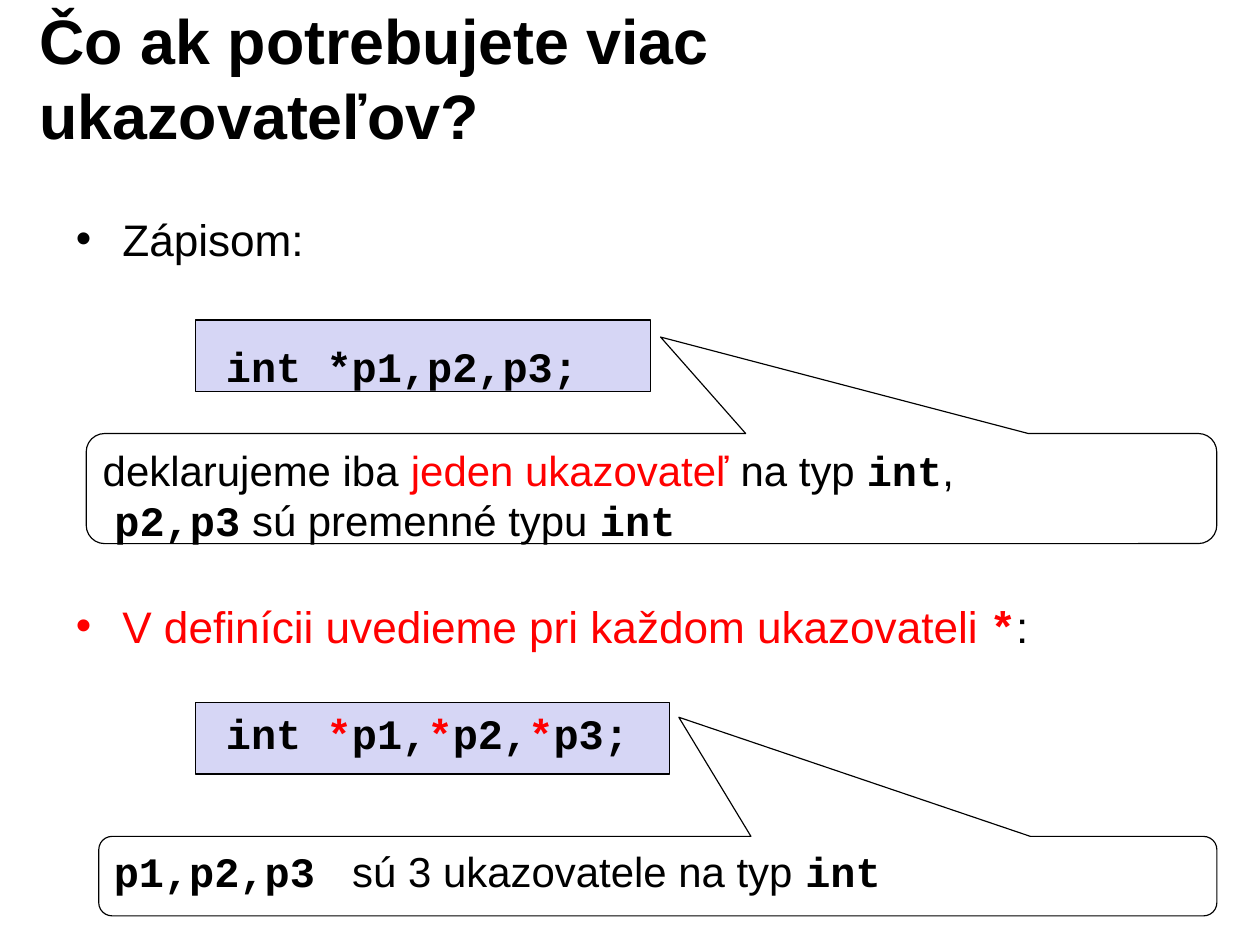
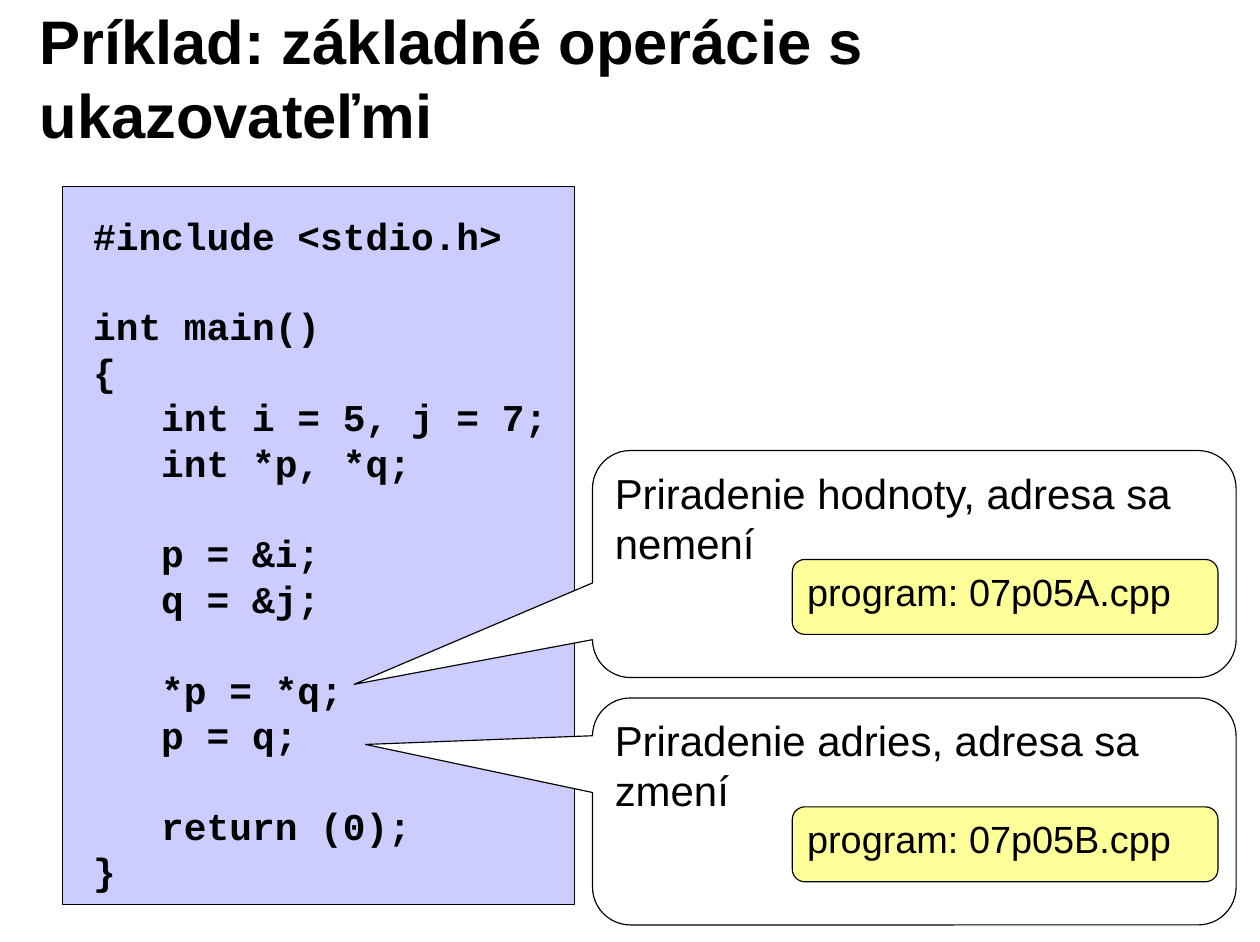
from dataclasses import dataclass

from lxml import etree
from pptx import Presentation
from pptx.dml.color import RGBColor
from pptx.enum.shapes import MSO_SHAPE
from pptx.enum.text import MSO_ANCHOR, PP_ALIGN
from pptx.oxml.ns import qn
from pptx.util import Pt

PX = 9144  # EMU per px, 100 px to the inch
RECTANGLE = MSO_SHAPE.RECTANGLE
ROUNDED = MSO_SHAPE.ROUNDED_RECTANGLE
CALLOUT = MSO_SHAPE.ROUNDED_RECTANGULAR_CALLOUT
TOP, MIDDLE = MSO_ANCHOR.TOP, MSO_ANCHOR.MIDDLE
LEFT = PP_ALIGN.LEFT


@dataclass(frozen=True)
class Theme:
    ink: str = "000000"
    accent: str = "FF0000"
    paper: str = "FFFFFF"
    snippet: str = "D6D6F5"
    listing: str = "CCCCFF"
    label: str = "FFFF99"
    font: str = "Arial"
    code_font: str = "Courier New"
    title_size: float = 39.8
    long_title_size: float = 39
    body_size: float = 28
    note_size: float = 26.6
    small_size: float = 24
    line_width: float = 0.75
    line_height: float = 1.2
    corner: float = 0.167


THEME = Theme()


@dataclass(frozen=True)
class Span:
    text: str
    color: str = THEME.ink
    code: bool = False
    bold: bool = False


def code(text, color=THEME.ink):
    return Span(text, color, code=True, bold=True)


def red(text):
    return Span(text, THEME.accent)


def px(*lengths):
    return [length * PX for length in lengths]


def write(frame, paragraphs, size, anchor=TOP, insets=(10, 5, 10, 5)):
    """Fill a text frame; a paragraph without spans becomes space before the next."""
    frame.word_wrap = True
    frame.vertical_anchor = anchor
    (frame.margin_left, frame.margin_top,
     frame.margin_right, frame.margin_bottom) = px(*insets)
    line = size * THEME.line_height
    gap = 0
    paragraph = frame.paragraphs[0]
    started = False
    for spans in paragraphs:
        if not spans:
            gap += line
            continue
        if started:
            paragraph = frame.add_paragraph()
        started = True
        paragraph.alignment = LEFT
        paragraph.line_spacing = Pt(line)
        paragraph.space_before = Pt(gap)
        gap = 0
        for span in spans:
            run = paragraph.add_run()
            run.text = span.text
            run.font.name = THEME.code_font if span.code else THEME.font
            run.font.size = Pt(size)
            run.font.bold = span.bold
            run.font.color.rgb = RGBColor.from_string(span.color)


def add_box(shapes, kind, place, fill):
    shape = shapes.add_shape(kind, *px(*place))
    shape.shadow.inherit = False
    shape.fill.solid()
    shape.fill.fore_color.rgb = RGBColor.from_string(fill)
    shape.line.color.rgb = RGBColor.from_string(THEME.ink)
    shape.line.width = Pt(THEME.line_width)
    return shape


def add_title(slide, text, size=THEME.title_size):
    box = slide.shapes.add_textbox(*px(25, 17, 891, 102))
    write(box.text_frame, [[Span(text, bold=True)]], size, MIDDLE)


def add_bullet(slide, top, spans):
    box = slide.shapes.add_textbox(*px(57, top, 996, 76))
    properties = box.text_frame.paragraphs[0]._p.get_or_add_pPr()
    properties.set("marL", str(41 * PX))
    properties.set("indent", str(-41 * PX))
    color = etree.SubElement(properties, qn("a:buClr"))
    etree.SubElement(color, qn("a:srgbClr"), val=spans[0].color)
    etree.SubElement(properties, qn("a:buFont"), typeface=THEME.font)
    etree.SubElement(properties, qn("a:buChar"), char="•")
    write(box.text_frame, [spans], THEME.body_size)


def add_code(slide, place, fill, paragraphs, size, inset_top):
    box = add_box(slide.shapes, RECTANGLE, place, fill)
    write(box.text_frame, paragraphs, size, insets=(27, inset_top, 0, 0))


def add_callout(shapes, place, target, paragraphs):
    """Draw a speech bubble whose tip lies at target."""
    left, top, width, height = place
    callout = add_box(shapes, CALLOUT, place, THEME.paper)
    callout.adjustments[0] = (target[0] - left) / width - 0.5
    callout.adjustments[1] = (target[1] - top) / height - 0.5
    callout.adjustments[2] = THEME.corner
    write(callout.text_frame, paragraphs, THEME.note_size)


def add_program_note(slide, top, target, text, program):
    shapes = slide.shapes.add_group_shape().shapes
    add_callout(shapes, (522, top, 567, 200), target, [[Span(text)]])
    label = add_box(shapes, ROUNDED, (698, top + 96, 375, 66), THEME.label)
    label.adjustments[0] = THEME.corner
    write(label.text_frame, [[Span(f"program: {program}")]], THEME.small_size)


def build_declarations(slide):
    add_title(slide, "Čo ak potrebujete viac ukazovateľov?")
    add_bullet(slide, 182, [Span("Zápisom:")])
    add_code(slide, (172, 282, 401, 63), THEME.snippet,
             [[code("int *p1,p2,p3;")]], THEME.note_size, 18)
    star = code("*", THEME.accent)
    add_code(slide, (172, 619, 418, 63), THEME.snippet,
             [[code("int "), star, code("p1,"), star, code("p2,"), star, code("p3;")]],
             THEME.note_size, 5)
    add_callout(slide.shapes, (76, 382, 996, 97), (582, 297), [
        [Span("deklarujeme iba "), red("jeden ukazovateľ"), Span(" na typ "),
         code("int"), Span(",")],
        [Span(" "), code("p2,p3"), Span(" sú premenné typu "), code("int")],
    ])
    add_callout(slide.shapes, (87, 737, 985, 70), (598, 632), [
        [code("p1,p2,p3 "), Span(" sú 3 ukazovatele na typ "), code("int")],
    ])
    add_bullet(slide, 523, [red("V definícii uvedieme pri každom ukazovateli "),
                            star, Span(":")])


POINTER_PROGRAM = """#include <stdio.h>

int main()
{
   int i = 5, j = 7;
   int *p, *q;

   p = &i;
   q = &j;

   *p = *q;
   p = q;

   return (0);
}"""


def build_example(slide):
    add_title(slide, "Príklad: základné operácie s ukazovateľmi", THEME.long_title_size)
    lines = [[code(line)] if line else [] for line in POINTER_PROGRAM.split("\n")]
    add_code(slide, (55, 164, 451, 633), THEME.listing, lines, THEME.small_size, 23)
    add_program_note(slide, 397, (312, 603),
                     "Priradenie hodnoty, adresa sa nemení", "07p05A.cpp")
    add_program_note(slide, 615, (322, 656),
                     "Priradenie adries, adresa sa zmení", "07p05B.cpp")


def main():
    presentation = Presentation()
    presentation.slide_width, presentation.slide_height = px(1110, 830)
    blank = presentation.slide_layouts[6]
    for build in (build_declarations, build_example):
        build(presentation.slides.add_slide(blank))
    presentation.save("out.pptx")


if __name__ == "__main__":
    main()
